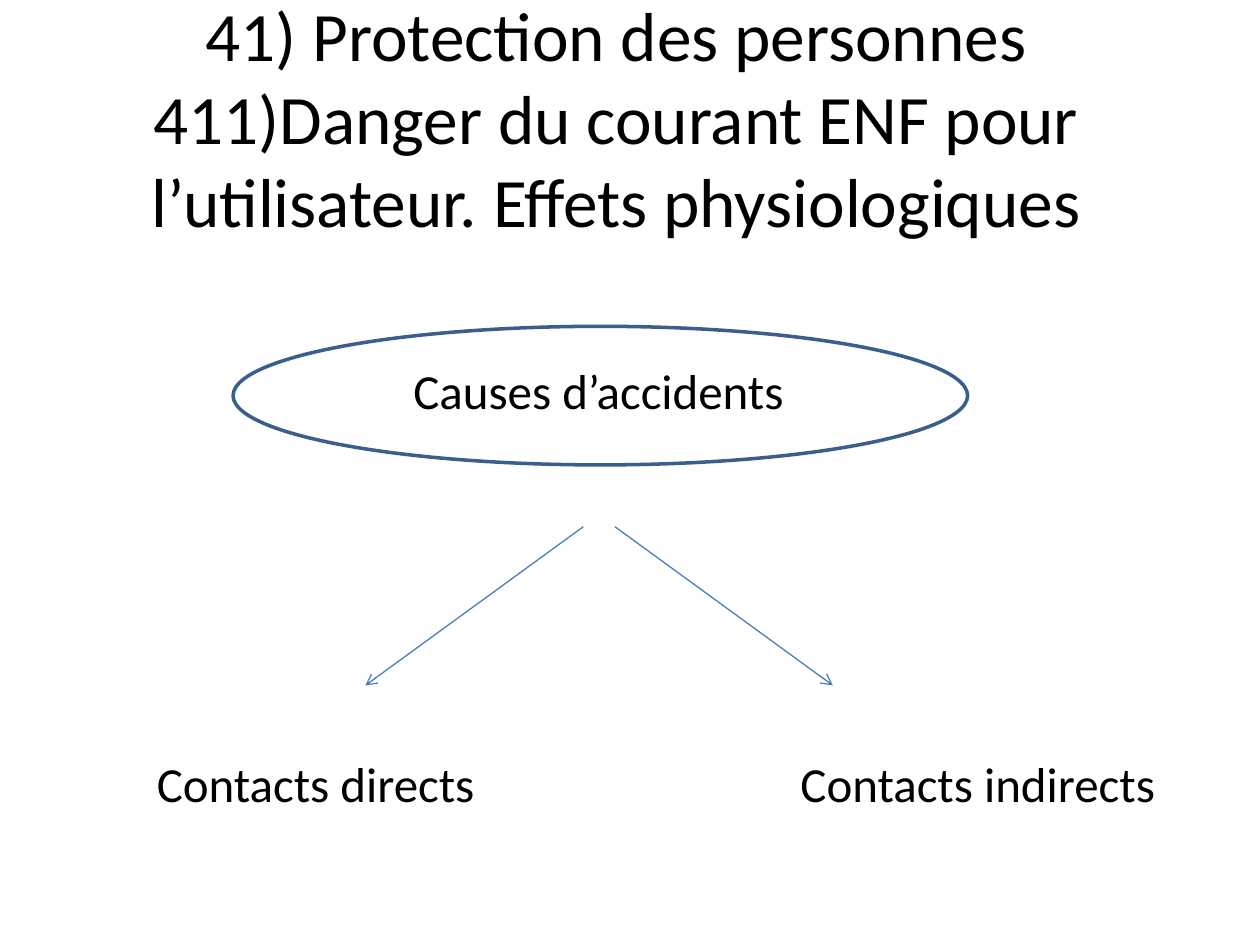
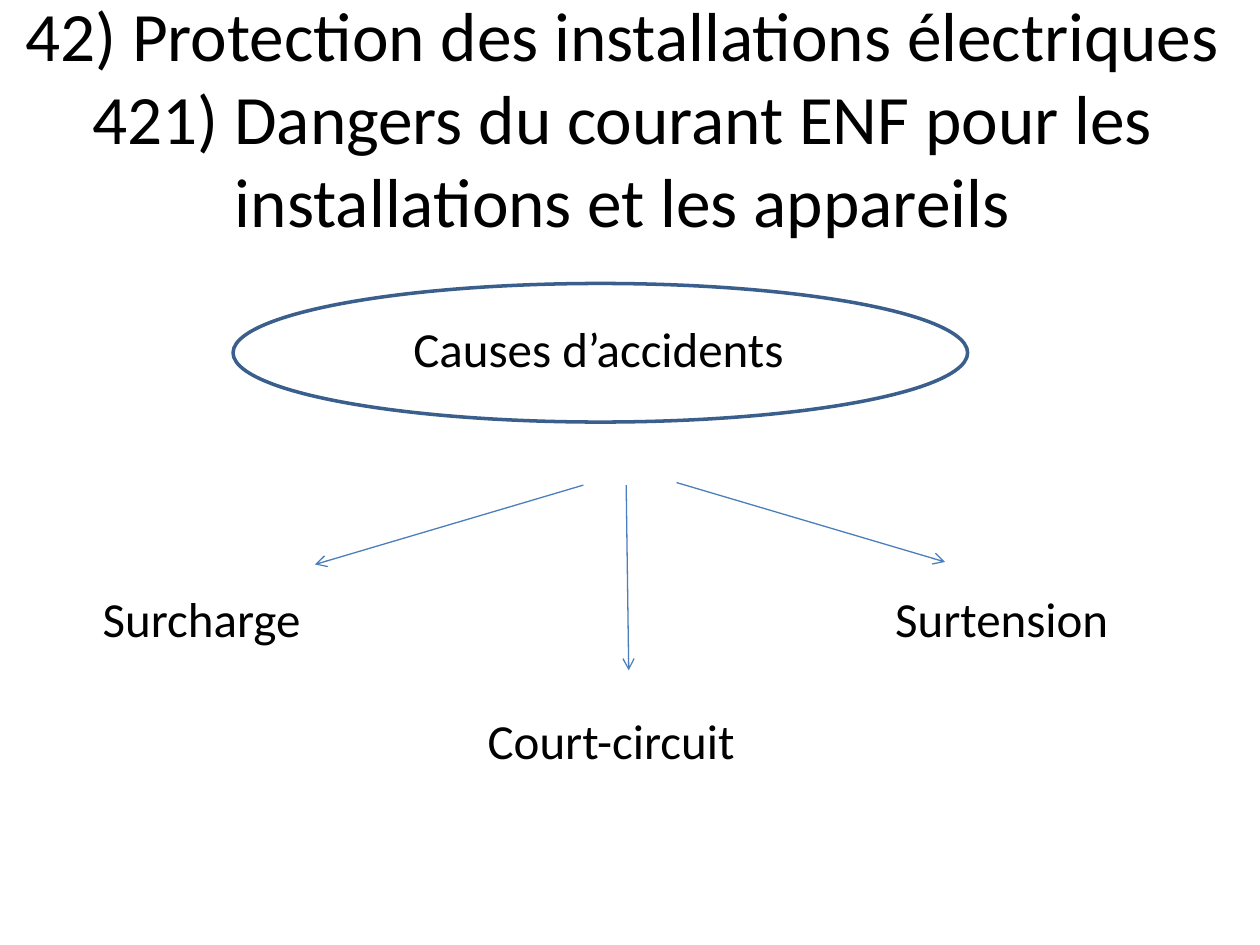
from dataclasses import dataclass
from lxml.etree import SubElement
from pptx import Presentation
from pptx.dml.color import RGBColor
from pptx.enum.shapes import MSO_CONNECTOR, MSO_SHAPE
from pptx.enum.text import MSO_ANCHOR, MSO_AUTO_SIZE, PP_ALIGN
from pptx.oxml.ns import qn
from pptx.slide import Slide
from pptx.util import Emu, Pt

SCALE = 9144  # EMU per px, 100 px to the inch
FONT = "Calibri"
COLORS = {"text": "000000", "arrow": "4B7EBC", "oval": "3A5F8C"}
LABEL_H = 57


@dataclass(frozen=True)
class Label:
    text: str
    left: int
    top: int
    width: int


@dataclass(frozen=True)
class Arrow:
    start: tuple[int, int]
    end: tuple[int, int]


@dataclass(frozen=True)
class Page:
    title: Label
    cause: Label
    oval_top: int
    arrows: tuple[Arrow, ...]
    effects: tuple[Label, ...]


PAGES = (
    Page(
        Label("41) Protection des personnes\n411)Danger du courant ENF pour "
              "l’utilisateur. Effets physiologiques", 28, -10, 922),
        Label("Causes d’accidents", 282, 281, 386),
        259,
        (Arrow((488, 418), (661, 544)), Arrow((463, 418), (290, 544))),
        (Label("Contacts directs", 91, 593, 319),
         Label("Contacts indirects", 609, 593, 334)),
    ),
    Page(
        Label("42) Protection des installations électriques\n421) Dangers du "
              "courant ENF pour les installations et les appareils", 0, -10, 988),
        Label("Causes d’accidents", 282, 248, 386),
        225,
        (Arrow((463, 385), (250, 448)), Arrow((497, 385), (499, 532)),
         Arrow((537, 383), (750, 446))),
        (Label("Surcharge", 38, 462, 244),
         Label("Court-circuit", 357, 559, 256),
         Label("Surtension", 667, 462, 256)),
    ),
)


def px(*values: int) -> list[Emu]:
    return [Emu(value * SCALE) for value in values]


def color(name: str) -> RGBColor:
    return RGBColor.from_string(COLORS[name])


def add_text(slide: Slide, label: Label, height: int = LABEL_H,
             size: float = 28, grow: bool = True) -> None:
    """Draw centred text; a box that does not grow holds it in its middle."""
    box = slide.shapes.add_textbox(*px(label.left, label.top, label.width, height))
    frame = box.text_frame
    frame.word_wrap = True
    frame.auto_size = MSO_AUTO_SIZE.SHAPE_TO_FIT_TEXT if grow else MSO_AUTO_SIZE.NONE
    frame.vertical_anchor = MSO_ANCHOR.TOP if grow else MSO_ANCHOR.MIDDLE
    par = frame.paragraphs[0]
    par.alignment = PP_ALIGN.CENTER
    par.font.size = Pt(size)
    for index, line in enumerate(label.text.split("\n")):
        if index:
            par.add_line_break()
        run = par.add_run()
        run.text = line
        run.font.name = FONT
        run.font.size = Pt(size)
        run.font.color.rgb = color("text")


def add_oval(slide: Slide, top: int) -> None:
    oval = slide.shapes.add_shape(MSO_SHAPE.OVAL, *px(185, top, 583, 110))
    oval.shadow.inherit = False
    oval.fill.background()
    oval.line.color.rgb = color("oval")
    oval.line.width = Pt(2)


def add_arrow(slide: Slide, arrow: Arrow) -> None:
    line = slide.shapes.add_connector(
        MSO_CONNECTOR.STRAIGHT, *px(*arrow.start, *arrow.end))
    line.line.color.rgb = color("arrow")
    line.line.width = Pt(0.75)
    SubElement(line.line._get_or_add_ln(), qn("a:tailEnd"), type="arrow")
    SubElement(line._element.spPr, qn("a:effectLst"))


def add_page(deck: Presentation, page: Page) -> None:
    slide = deck.slides.add_slide(deck.slide_layouts[6])
    add_text(slide, page.title, height=205, size=39.6, grow=False)
    add_oval(slide, page.oval_top)
    add_text(slide, page.cause)
    for arrow in page.arrows:
        add_arrow(slide, arrow)
    for effect in page.effects:
        add_text(slide, effect)


def main() -> None:
    deck = Presentation()
    deck.slide_width, deck.slide_height = px(1000, 750)
    for page in PAGES:
        add_page(deck, page)
    deck.save("out.pptx")


if __name__ == "__main__":
    main()
